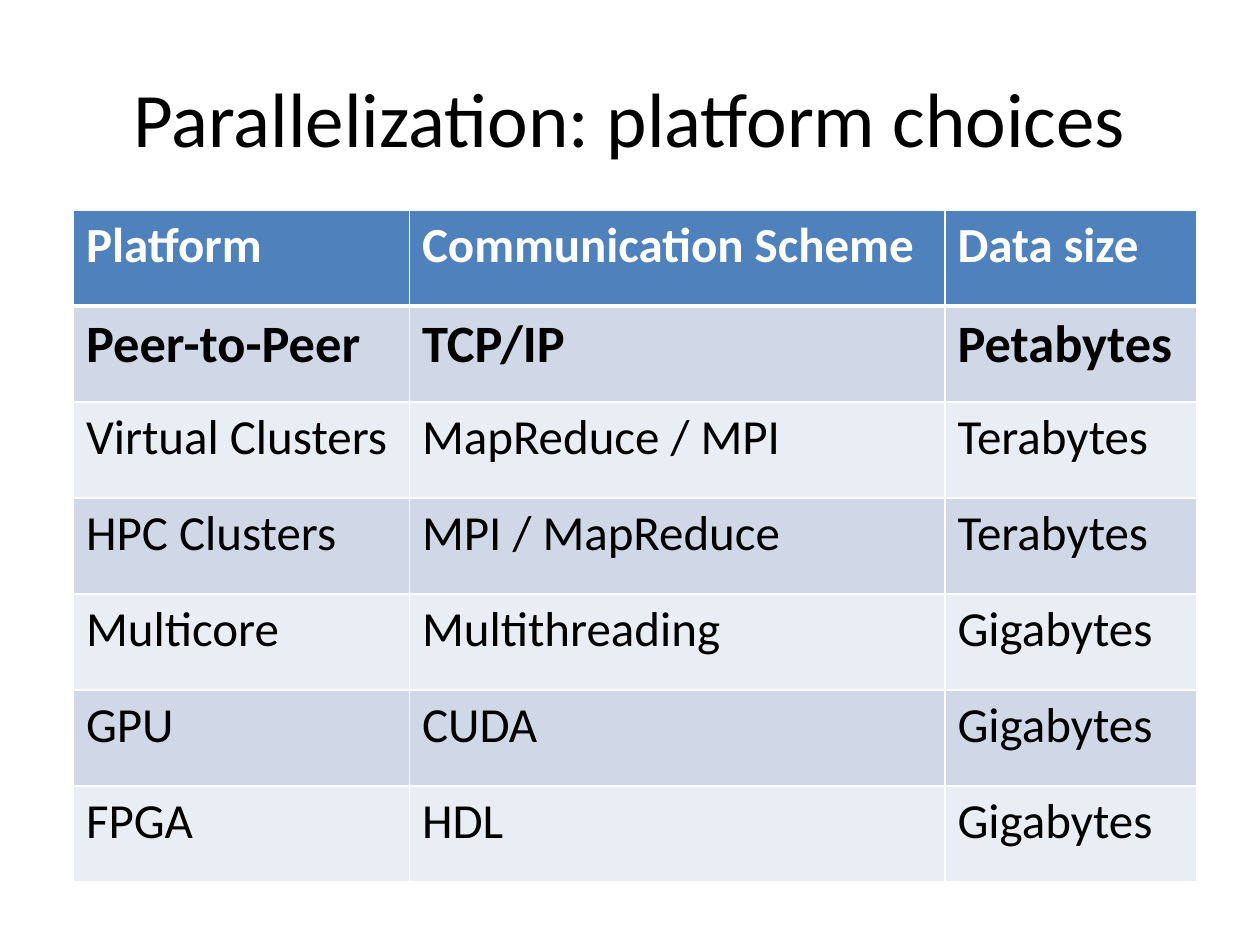
from lxml import etree
from pptx import Presentation
from pptx import util as u
from pptx.dml import color
from pptx.enum import text
from pptx.oxml import ns

ROWS = [
    ("Platform", "Communication Scheme", "Data size"),
    ("Peer-to-Peer", "TCP/IP", "Petabytes"),
    ("Virtual Clusters", "MapReduce / MPI", "Terabytes"),
    ("HPC Clusters", "MPI / MapReduce", "Terabytes"),
    ("Multicore", "Multithreading", "Gigabytes"),
    ("GPU", "CUDA", "Gigabytes"),
    ("FPGA", "HDL", "Gigabytes"),
]
WIDTHS = (192, 306, 144)
HEIGHT = 384


def rgb(code):
    return color.RGBColor.from_string(code)


class Deck:
    face = "Calibri"
    ink = "000000"
    white = "FFFFFF"
    head = "4F81BD"
    bands = ("E9EDF4", "D0D8E8")

    def __init__(self):
        self.prs = Presentation()
        self.prs.slide_width, self.prs.slide_height = u.Pt(720), u.Pt(540)
        self.slide = self.prs.slides.add_slide(self.prs.slide_layouts[6])

    def label(self, para, words, size, tint, bold=False):
        para.text = words
        font = para.font
        font.name, font.size, font.bold = self.face, u.Pt(size), bold
        font.color.rgb = rgb(tint)

    def title(self, words, left, top, width, height):
        box = self.slide.shapes.add_textbox(*map(u.Pt, (left, top, width, height)))
        frame = box.text_frame
        frame.word_wrap = True
        frame.vertical_anchor = text.MSO_ANCHOR.MIDDLE
        para = frame.paragraphs[0]
        para.alignment = text.PP_ALIGN.CENTER
        self.label(para, words, 44, self.ink)

    def border(self, cell, top, bottom):
        """Draw white cell edges; top and bottom are line widths in points."""
        props = cell._tc.get_or_add_tcPr()
        for side, width in zip("LRTB", (1, 1, top, bottom)):
            line = etree.SubElement(props, ns.qn(f"a:ln{side}"), w=str(u.Pt(width)))
            fill = etree.SubElement(line, ns.qn("a:solidFill"))
            etree.SubElement(fill, ns.qn("a:srgbClr"), val=self.white)

    def table(self, rows, left, top, widths, height):
        """Add a table with a header row and a larger, bold first data row."""
        frame = self.slide.shapes.add_table(
            len(rows), len(widths), *map(u.Pt, (left, top, sum(widths), height)))
        grid = frame.table
        for col, width in zip(grid.columns, widths):
            col.width = u.Pt(width)
        for r, row in enumerate(rows):
            grid.rows[r].height = u.Pt(height / len(rows))
            fill = self.bands[r % 2] if r else self.head
            tint = self.ink if r else self.white
            size = 30 if r == 1 else 28
            for c, words in enumerate(row):
                cell = grid.cell(r, c)
                self.border(cell, 3 if r == 1 else 1, 1 if r else 3)
                cell.fill.solid()
                cell.fill.fore_color.rgb = rgb(fill)
                self.label(cell.text_frame.paragraphs[0], words, size, tint, r < 2)


def main():
    deck = Deck()
    deck.title("Parallelization: platform choices", 36, 21.6, 648, 90)
    deck.table(ROWS, 42, 120, WIDTHS, HEIGHT)
    deck.prs.save("out.pptx")


if __name__ == "__main__":
    main()
